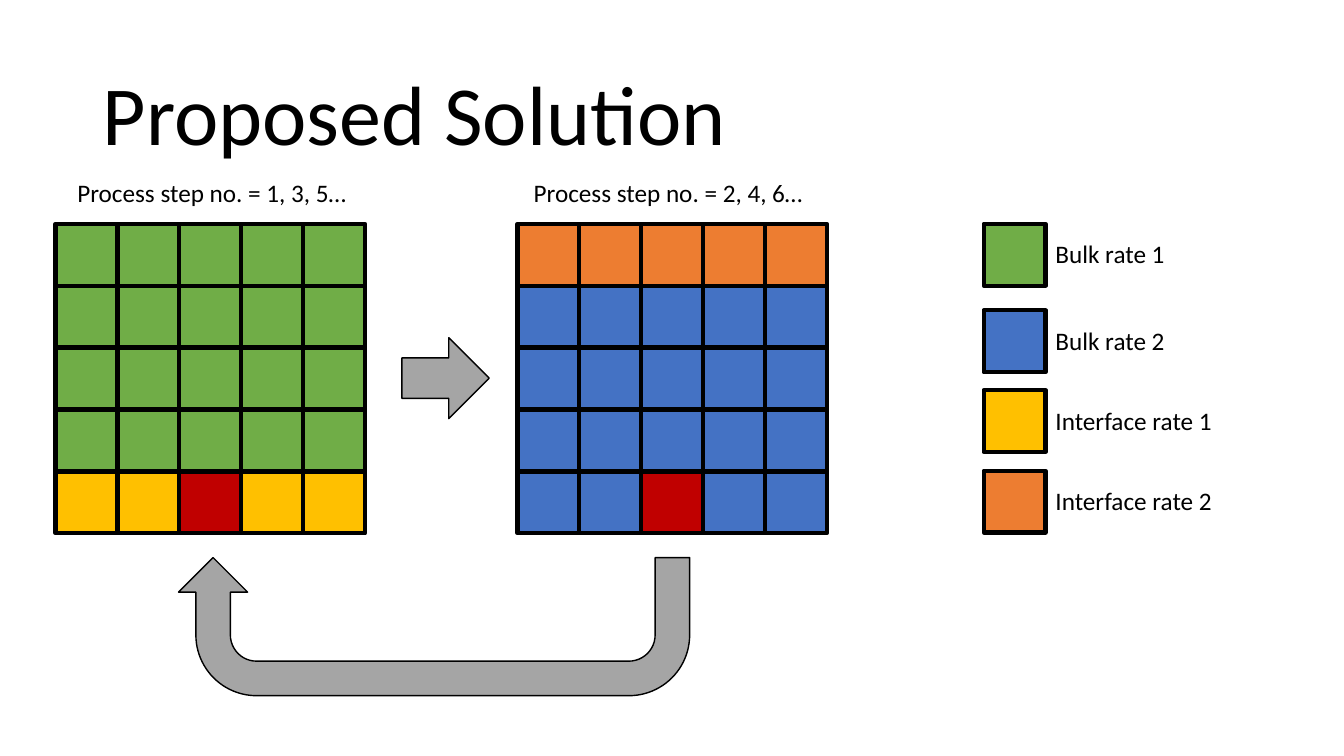
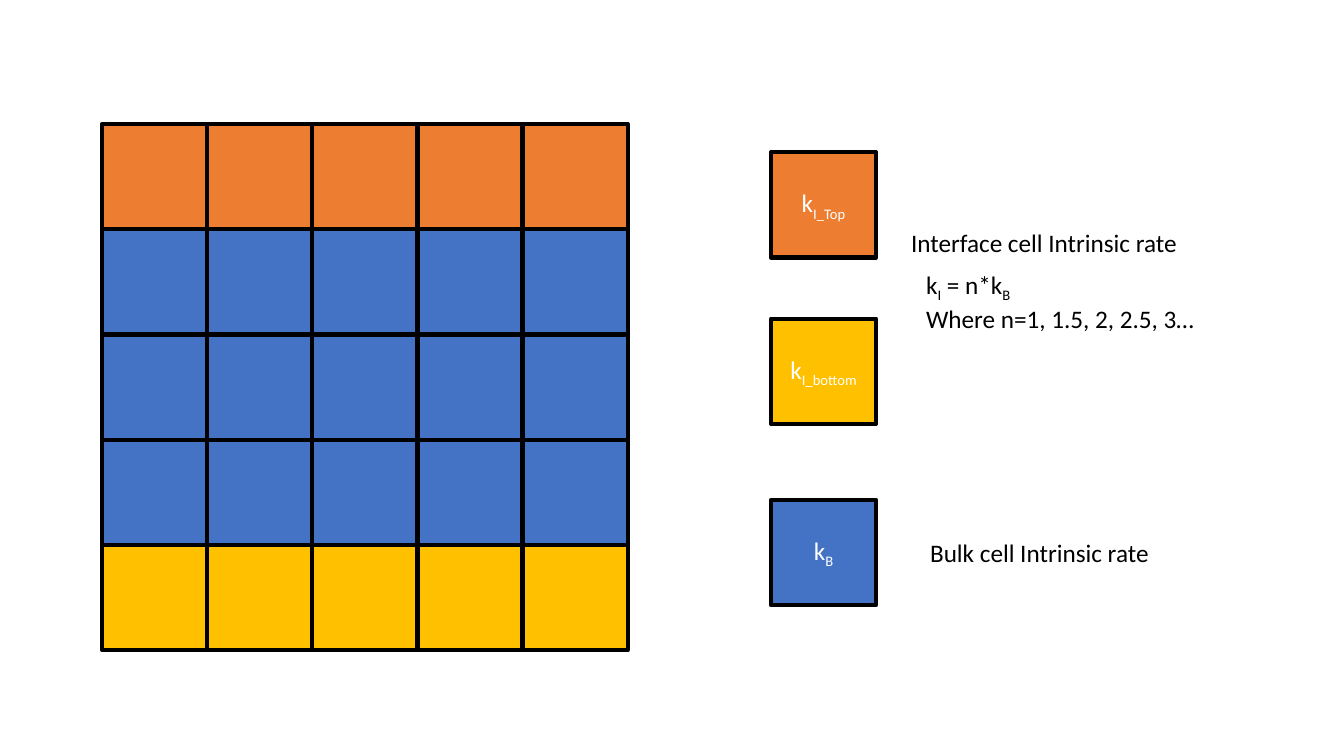
from dataclasses import dataclass

from pptx import Presentation
from pptx.dml.color import RGBColor
from pptx.enum.shapes import MSO_SHAPE
from pptx.enum.text import MSO_ANCHOR, MSO_AUTO_SIZE, PP_ALIGN
from pptx.util import Cm, Pt

RECTANGLE = MSO_SHAPE.RECTANGLE
RIGHT_ARROW = MSO_SHAPE.RIGHT_ARROW
U_TURN_ARROW = MSO_SHAPE.U_TURN_ARROW
BOTTOM, MIDDLE = MSO_ANCHOR.BOTTOM, MSO_ANCHOR.MIDDLE
LEFT, CENTER = PP_ALIGN.LEFT, PP_ALIGN.CENTER
GROW = MSO_AUTO_SIZE.SHAPE_TO_FIT_TEXT


@dataclass(frozen=True)
class Theme:
    font: str = "Calibri"
    title_size: int = 60
    body_size: int = 18
    cell_line: float = 3
    arrow_line: float = 1
    black: str = "000000"
    white: str = "FFFFFF"
    green: str = "70AD47"
    blue: str = "4472C4"
    yellow: str = "FFC000"
    orange: str = "ED7D31"
    red: str = "C00000"
    gray: str = "A5A5A5"


THEME = Theme()

# Content: lengths in centimetres, one letter per grid cell
CELL_COLORS = {"G": THEME.green, "B": THEME.blue, "Y": THEME.yellow,
               "O": THEME.orange, "R": THEME.red}

TITLE = "Proposed Solution"
SMALL_CELL = 1.56
GRID_TOP = 5.64
STEP_GRIDS = [  # caption, caption left, grid left, rows
    ("Process step no. = 1, 3, 5…", 1.7, 1.4,
     ["GGGGG"] * 4 + ["YYRYY"]),
    ("Process step no. = 2, 4, 6…", 13.2, 13.04,
     ["OOOOO"] + ["BBBBB"] * 3 + ["BBRBB"]),
]
LEGEND_LEFT = 24.79
LEGEND = [  # label, cell, top
    ("Bulk rate 1", "G", GRID_TOP),
    ("Bulk rate 2", "B", 7.82),
    ("Interface rate 1", "Y", 9.83),
    ("Interface rate 2", "O", 11.86),
]

LARGE_CELL = 2.65
RATE_ROWS = ["OOOOO"] + ["BBBBB"] * 3 + ["YYYYY"]
RATE_LEFT = 19.43
# Formula lines alternate between normal text and subscript
RATE_CELLS = [  # formula, cell, top
    (("k", "I_Top"), "O", 3.84),
    (("k", "I_bottom"), "Y", 8.03),
    (("k", "B"), "B", 12.6),
]
RATE_NOTES = [  # lines, left, top, width, height
    ([("Interface cell Intrinsic rate",)], 22.71, 5.61, 7.29, 1.02),
    ([("k", "I", " = n*k", "B"), ("Where n=1, 1.5, 2, 2.5, 3…",)],
     23.09, 6.65, 7.34, 1.8),
    ([("Bulk cell Intrinsic rate",)], 23.19, 13.41, 6.07, 1.02),
]


# Shared builders
def write_lines(text_frame, lines, size, color, align=LEFT):
    for number, pieces in enumerate(lines):
        paragraph = text_frame.add_paragraph() if number else text_frame.paragraphs[0]
        paragraph.alignment = align
        for position, piece in enumerate(pieces):
            run = paragraph.add_run()
            run.text = piece
            run.font.name = THEME.font
            run.font.size = Pt(size)
            run.font.color.rgb = RGBColor.from_string(color)
            if position % 2:
                run._r.get_or_add_rPr().set("baseline", "-25000")


def add_filled_shape(slide, kind, left, top, width, height, fill, line_width):
    shape = slide.shapes.add_shape(kind, Cm(left), Cm(top), Cm(width), Cm(height))
    shape.shadow.inherit = False
    shape.fill.solid()
    shape.fill.fore_color.rgb = RGBColor.from_string(fill)
    shape.line.color.rgb = RGBColor.from_string(THEME.black)
    shape.line.width = Pt(line_width)
    return shape


def add_cell(slide, left, top, side, letter):
    return add_filled_shape(slide, RECTANGLE, left, top, side, side,
                            CELL_COLORS[letter], THEME.cell_line)


def add_grid(slide, left, top, side, rows):
    for row, letters in enumerate(rows):
        for column, letter in enumerate(letters):
            add_cell(slide, left + column * side, top + row * side, side, letter)


def add_text(slide, lines, left, top, width, height=1.02, wrap=True,
             size=THEME.body_size):
    box = slide.shapes.add_textbox(Cm(left), Cm(top), Cm(width), Cm(height))
    text_frame = box.text_frame
    text_frame.word_wrap = wrap
    text_frame.auto_size = GROW
    write_lines(text_frame, lines, size, THEME.black)
    return text_frame


def add_title(slide, title):
    text_frame = add_text(slide, [(title,)], 2.34, 0.58, 29.21, 3.68,
                          size=THEME.title_size)
    text_frame.auto_size = MSO_AUTO_SIZE.NONE
    text_frame.vertical_anchor = BOTTOM
    text_frame.paragraphs[0].line_spacing = 0.9


# Slides
def build_solution(slide):
    add_title(slide, TITLE)
    for caption, caption_left, grid_left, rows in STEP_GRIDS:
        add_text(slide, [(caption,)], caption_left, 4.34, 7.47)
        add_grid(slide, grid_left, GRID_TOP, SMALL_CELL, rows)
    for label, letter, top in LEGEND:
        add_cell(slide, LEGEND_LEFT, top, SMALL_CELL, letter)
        add_text(slide, [(label,)], LEGEND_LEFT + SMALL_CELL, top + 0.25, 6.12)

    # Arrows between the two process steps
    add_filled_shape(slide, RIGHT_ARROW, 10.13, 8.51, 2.2, 2.04,
                     THEME.gray, THEME.arrow_line)
    return_arrow = add_filled_shape(slide, U_TURN_ARROW, 4.5, 14.05, 12.88, 3.48,
                                    THEME.gray, THEME.arrow_line)
    return_arrow.rotation = 180
    for index, value in enumerate((0.25, 0.25, 0.25, 0.44, 1)):
        return_arrow.adjustments[index] = value


def build_rates(slide):
    add_grid(slide, 2.57, 3.13, LARGE_CELL, RATE_ROWS)
    for formula, letter, top in RATE_CELLS:
        cell = add_cell(slide, RATE_LEFT, top, LARGE_CELL, letter)
        cell.text_frame.vertical_anchor = MIDDLE
        write_lines(cell.text_frame, [formula], THEME.body_size, THEME.white, CENTER)
    for lines, left, top, width, height in RATE_NOTES:
        add_text(slide, lines, left, top, width, height, wrap=False)


presentation = Presentation()
presentation.slide_width = Cm(33.87)
presentation.slide_height = Cm(19.05)
blank_layout = presentation.slide_layouts[6]
for build in (build_solution, build_rates):
    build(presentation.slides.add_slide(blank_layout))
presentation.save("out.pptx")
